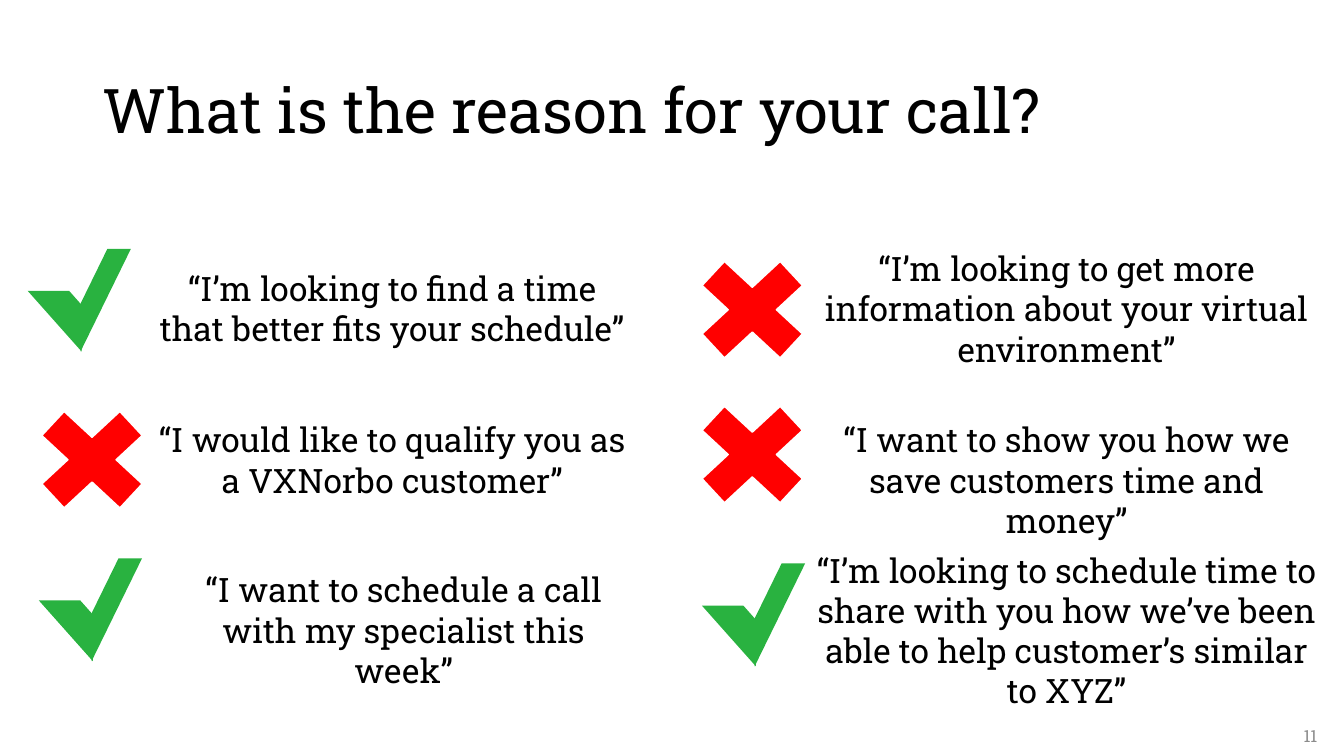
from pptx import Presentation
from pptx.dml.color import RGBColor
from pptx.enum import shapes, text
from pptx.util import Cm, Pt

HUES = {"ink": "000000", "gray": "8C8C8C", "red": "FF0000", "green": "29B240", "white": "FFFFFF"}


def write(frame, words, size, hue, align):
    frame.word_wrap = True
    para = frame.paragraphs[0]
    para.alignment = align
    run = para.add_run()
    run.text = words
    run.font.name = "Roboto Slab"
    run.font.size = Pt(size)
    run.font.color.rgb = RGBColor.from_string(HUES[hue])
    return para


def mark(kind, box, hue):
    shape = slide.shapes.add_shape(kind, *map(Cm, box))
    shape.shadow.inherit = False
    shape.fill.solid()
    shape.fill.fore_color.rgb = RGBColor.from_string(HUES[hue])
    shape.line.fill.background()
    return shape


deck = Presentation()
deck.slide_width, deck.slide_height = Cm(33.87), Cm(19.05)
slide = deck.slides.add_slide(deck.slide_layouts[5])

title = slide.shapes.title
title.left, title.top, title.width, title.height = map(Cm, (2.34, 1.02, 29.21, 3.68))
frame = title.text_frame
frame.auto_size = text.MSO_AUTO_SIZE.NONE
frame.vertical_anchor = text.MSO_ANCHOR.MIDDLE
para = write(frame, "What is the reason for your call?", 44, "ink", text.PP_ALIGN.LEFT)
para.line_spacing = 0.9

page = slide.shapes.add_textbox(Cm(32.18), Cm(18.03), Cm(1.27), Cm(1.02)).text_frame
page.vertical_anchor = text.MSO_ANCHOR.MIDDLE
write(page, "11", 12, "gray", text.PP_ALIGN.RIGHT)

quotes = [
    (3.61, 6.63, 12.55, 2.31, "“I’m looking to find a time that better fits your schedule”"),
    (3.61, 10.44, 12.55, 2.31, "“I would like to qualify you as a VXNorbo customer”"),
    (4.22, 14.22, 11.91, 2.31, "“I want to schedule a call with my specialist this week”"),
    (20.29, 6.12, 13.18, 3.33, "“I’m looking to get more information about your virtual environment”"),
    (20.29, 10.44, 13.18, 2.31, "“I want to show you how we save customers time and money”"),
    (20.29, 13.72, 13.18, 4.37, "“I’m looking to schedule time to share with you how we’ve been able to help customer’s similar to XYZ”"),
]
for *box, words in quotes:
    frame = slide.shapes.add_textbox(*map(Cm, box)).text_frame
    write(frame, words, 24, "ink", text.PP_ALIGN.CENTER)
    frame.auto_size = text.MSO_AUTO_SIZE.SHAPE_TO_FIT_TEXT

kinds = shapes.MSO_SHAPE
for left, top in [(0.43, 9.83), (17.07, 9.7), (17.07, 6.05)]:
    cross = mark(kinds.MATH_MULTIPLY, (left, top, 3.78, 3.51), "red")
    cross.line.color.rgb = RGBColor.from_string(HUES["white"])
    cross.line.width = Pt(1)

for left, top in [(2.03, 6.27), (2.31, 14.07), (19.02, 14.2)]:
    long = mark(kinds.DIAGONAL_STRIPE, (left, top, 1.27, 2.59), "green")
    long.adjustments[0] = 0.534
    short = mark(kinds.DIAGONAL_STRIPE, (left - 1.33, top + 1.06, 1.36, 1.53), "green")
    short.adjustments[0] = 0.233
    short._element.spPr.xfrm.set("flipH", "1")

deck.save("out.pptx")
